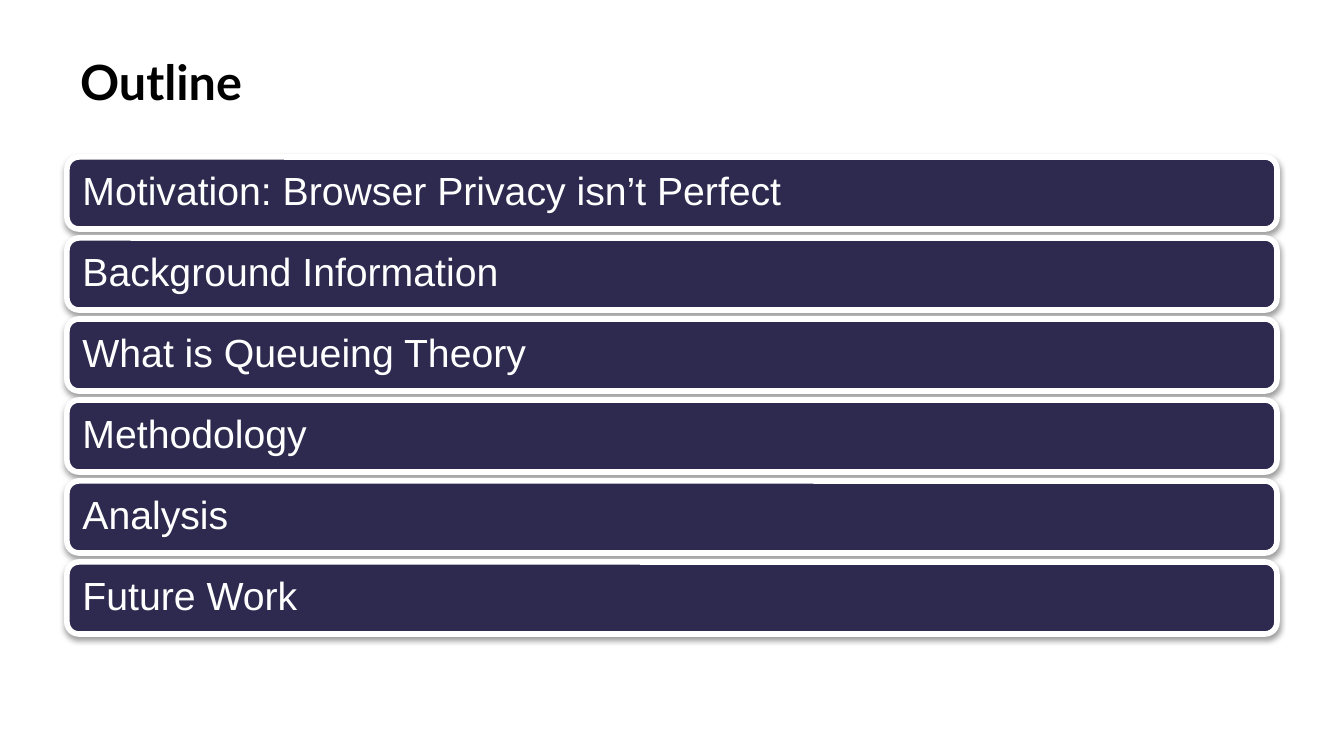
from lxml import etree
from pptx import Presentation
from pptx.dml.color import RGBColor
from pptx.enum.shapes import MSO_SHAPE as Shape
from pptx.enum.text import MSO_ANCHOR as Anchor, MSO_AUTO_SIZE as AutoSize, PP_ALIGN as Align
from pptx.oxml.ns import qn
from pptx.util import Emu, Pt

PX = 914400 / 134.4
BLACK = RGBColor(0x00, 0x00, 0x00)
WHITE = RGBColor(0xFF, 0xFF, 0xFF)
NAVY = RGBColor(0x2E, 0x29, 0x4E)

TOPICS = [
    "Motivation: Browser Privacy isn’t Perfect",
    "Background Information",
    "What is Queueing Theory",
    "Methodology",
    "Analysis",
    "Future Work",
]
BAR_LEFT, BAR_TOP, BAR_WIDTH, BAR_HEIGHT = 67, 157, 1210, 72
BAR_PITCH = 81


def px(length):
    return Emu(round(length * PX))


def write_line(shape, text, font, size, color, inset, bold=False):
    """Put one left-aligned, vertically centred line in a shape."""
    frame = shape.text_frame
    frame.word_wrap = True
    frame.auto_size = AutoSize.NONE
    frame.vertical_anchor = Anchor.MIDDLE
    frame.margin_left = frame.margin_right = px(inset)
    frame.margin_top = frame.margin_bottom = px(inset)
    para = frame.paragraphs[0]
    para.alignment = Align.LEFT
    para.line_spacing = 0.9
    para.space_before = Pt(0)
    span = para.add_run()
    span.text = text
    span.font.name = font
    span.font.size = Pt(size)
    span.font.bold = bold
    span.font.color.rgb = color


def add_soft_shadow(shape):
    """Cast a soft black shadow straight down."""
    shape.shadow.inherit = False
    effects = shape._element.spPr.find(qn("a:effectLst"))
    shadow = etree.SubElement(
        effects, qn("a:outerShdw"), blurRad=str(Pt(3.1)), dist=str(Pt(1.6)),
        dir="5400000", rotWithShape="0")
    color = etree.SubElement(shadow, qn("a:srgbClr"), val=str(BLACK))
    etree.SubElement(color, qn("a:alpha"), val="38000")


def set_title(slide, text):
    title = slide.shapes.title
    title.left, title.top = px(67), px(42)
    title.width, title.height = px(1210), px(85)
    write_line(title, text, "Lato", 26, BLACK, 13, bold=True)


def add_topic_bar(slide, text, top):
    bar = slide.shapes.add_shape(
        Shape.ROUNDED_RECTANGLE, px(BAR_LEFT), px(top), px(BAR_WIDTH), px(BAR_HEIGHT))
    bar.fill.solid()
    bar.fill.fore_color.rgb = NAVY
    bar.line.color.rgb = WHITE
    bar.line.width = Pt(3)
    add_soft_shadow(bar)
    write_line(bar, text, "Arial", 21, WHITE, 12)


def main():
    deck = Presentation()
    deck.slide_width, deck.slide_height = px(1344), px(756)
    slide = deck.slides.add_slide(deck.slide_layouts[5])

    # Heading
    set_title(slide, "Outline")

    # One bar per topic, evenly stacked
    for row, topic in enumerate(TOPICS):
        add_topic_bar(slide, topic, BAR_TOP + row * BAR_PITCH)

    deck.save("out.pptx")


if __name__ == "__main__":
    main()
